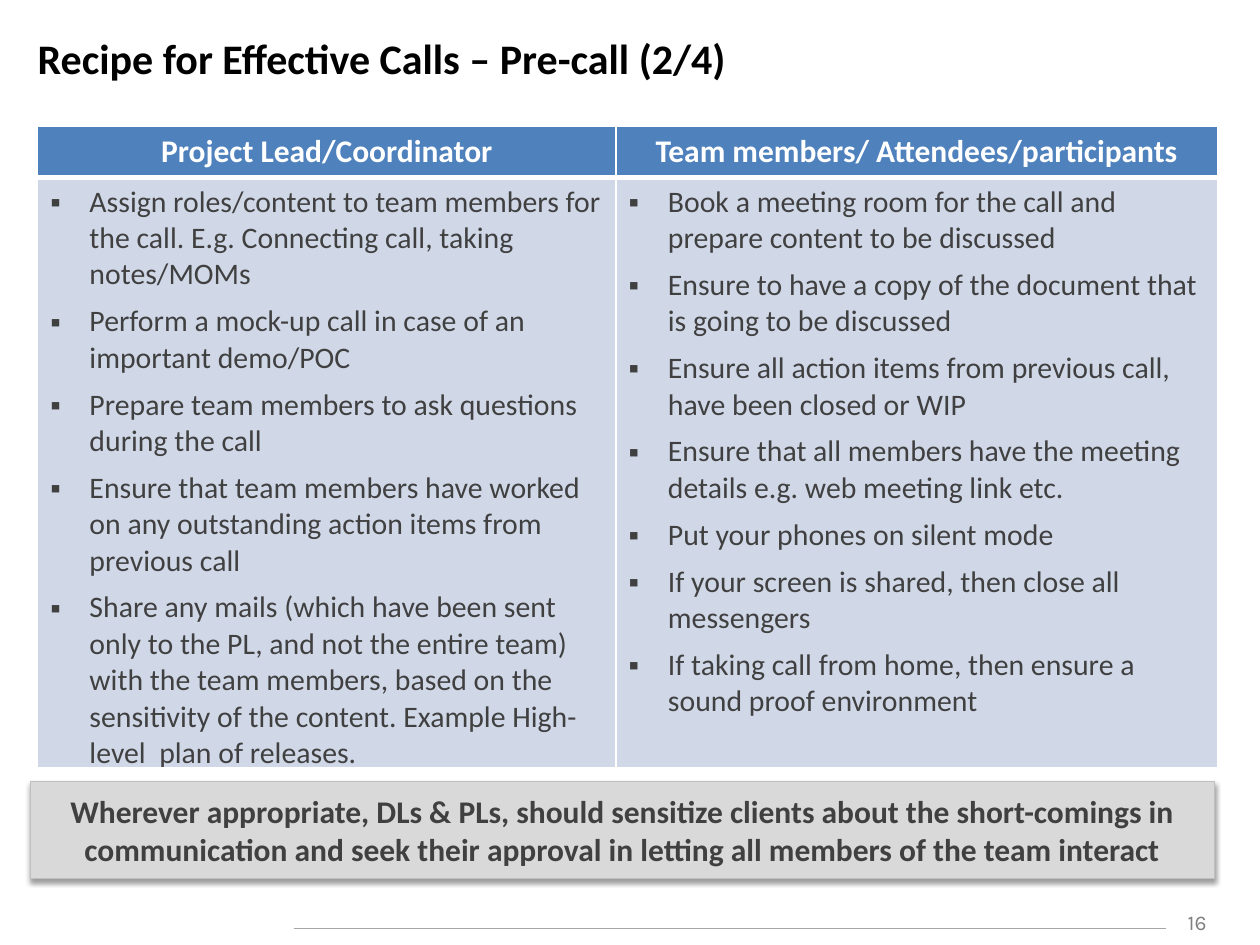
from lxml import etree
from pptx import Presentation
from pptx.dml.color import RGBColor
from pptx.enum.shapes import MSO_CONNECTOR as Connector, MSO_SHAPE as Shape
from pptx.enum.text import MSO_ANCHOR as Anchor, PP_ALIGN as Align
from pptx.oxml.ns import qn
from pptx.util import Cm, Pt

COLORS = {
    "title": "000000", "header": "4F81BD", "header_text": "FFFFFF",
    "body": "D0D8E8", "body_text": "404040", "border": "FFFFFF",
    "banner": "D9D9D9", "banner_edge": "BFBFBF", "shadow": "000000",
    "footer_line": "A6A6A6", "page_number": "808080",
}

TITLE = "Recipe for Effective Calls – Pre-call (2/4)"
DUTIES = {
    "Project Lead/Coordinator": [
        "Assign roles/content to team members for the call. "
        "E.g. Connecting call, taking notes/MOMs",
        "Perform a mock-up call in case of an important demo/POC",
        "Prepare team members to ask questions during the call",
        "Ensure that team members have worked on any outstanding action items "
        "from previous call",
        "Share any mails (which have been sent only to the PL, and not the entire team) "
        "with the team members, based on the sensitivity of the content. "
        "Example High-level  plan of releases.",
    ],
    "Team members/ Attendees/participants": [
        "Book a meeting room for the call and prepare content to be discussed",
        "Ensure to have a copy of the document that is going to be discussed",
        "Ensure all action items from previous call, have been closed or WIP",
        "Ensure that all members have the meeting details e.g. web meeting link etc.",
        "Put your phones on silent mode",
        "If your screen is shared, then close all messengers",
        "If taking call from home, then ensure a sound proof environment",
    ],
}
ADVICE = (
    "Wherever appropriate, DLs & PLs, should sensitize clients about the short-comings "
    "in communication and seek their approval in letting all members of the team interact"
)


def rgb(role):
    return RGBColor.from_string(COLORS[role])


def add_solid_fill(parent, role):
    solid = etree.SubElement(parent, qn("a:solidFill"))
    return etree.SubElement(solid, qn("a:srgbClr"), val=COLORS[role])


def write(paragraph, text, size, role, bold=False, font="Calibri", align=Align.LEFT):
    paragraph.alignment = align
    run = paragraph.add_run()
    run.text = text
    run.font.name = font
    run.font.size = Pt(size)
    run.font.bold = bold
    run.font.color.rgb = rgb(role)


def add_label(slide, box, text, *style, **options):
    frame = slide.shapes.add_textbox(*map(Cm, box)).text_frame
    frame.word_wrap = True
    frame.vertical_anchor = options.pop("anchor", Anchor.TOP)
    write(frame.paragraphs[0], text, *style, **options)


def add_footer_line(slide):
    y = Cm(18.72)
    rule = slide.shapes.add_connector(Connector.STRAIGHT, Cm(5.92), y, Cm(23.5), y)
    rule.line.color.rgb = rgb("footer_line")
    rule.line.width = Pt(0.75)
    etree.SubElement(rule._element.spPr, qn("a:effectLst"))


def set_bullet(paragraph):
    """Give the paragraph a small square with a hanging indent."""
    properties = paragraph._p.get_or_add_pPr()
    properties.set("marL", str(Cm(0.79)))
    properties.set("indent", str(-Cm(0.79)))
    paragraph.space_before = Pt(6)
    etree.SubElement(properties, qn("a:buFont"), typeface="Arial")
    etree.SubElement(properties, qn("a:buChar"), char="▪")


def style_cell(cell, role, bottom_width):
    """Draw the white cell borders, then the fill."""
    properties = cell._tc.get_or_add_tcPr()
    for side, width in (("L", 1), ("R", 1), ("T", 1), ("B", bottom_width)):
        border = etree.SubElement(properties, qn(f"a:ln{side}"), w=str(Pt(width)))
        add_solid_fill(border, "border")
    cell.fill.solid()
    cell.fill.fore_color.rgb = rgb(role)


def add_duties_table(slide):
    widths, heights = (11.66, 12.12), (1.04, 11.89)
    table = slide.shapes.add_table(
        2, 2, Cm(0.76), Cm(2.54), Cm(sum(widths)), Cm(sum(heights))).table
    for row, height in zip(table.rows, heights):
        row.height = Cm(height)
    for index, (heading, duties) in enumerate(DUTIES.items()):
        table.columns[index].width = Cm(widths[index])
        header, body = table.cell(0, index), table.cell(1, index)
        style_cell(header, "header", 3)
        style_cell(body, "body", 1)
        write(header.text_frame.paragraphs[0], heading, 18, "header_text",
              bold=True, align=Align.CENTER)
        for number, duty in enumerate(duties):
            frame = body.text_frame
            paragraph = frame.add_paragraph() if number else frame.paragraphs[0]
            set_bullet(paragraph)
            write(paragraph, duty, 17, "body_text")


def add_shadow(shape):
    shape.shadow.inherit = False
    effects = shape._element.spPr.find(qn("a:effectLst"))
    shadow = etree.SubElement(
        effects, qn("a:outerShdw"), blurRad=str(Pt(3.1)), dist=str(Pt(1.6)),
        dir="5400000", rotWithShape="0")
    color = etree.SubElement(shadow, qn("a:srgbClr"), val=COLORS["shadow"])
    etree.SubElement(color, qn("a:alpha"), val="38000")


def add_banner(slide):
    banner = slide.shapes.add_shape(
        Shape.RECTANGLE, Cm(0.61), Cm(15.75), Cm(23.88), Cm(1.96))
    banner.fill.solid()
    banner.fill.fore_color.rgb = rgb("banner")
    banner.line.color.rgb = rgb("banner_edge")
    banner.line.width = Pt(0.75)
    add_shadow(banner)
    frame = banner.text_frame
    frame.word_wrap = True
    frame.vertical_anchor = Anchor.MIDDLE
    write(frame.paragraphs[0], ADVICE, 18, "body_text", bold=True, align=Align.CENTER)


def main():
    deck = Presentation()
    deck.slide_width, deck.slide_height = Cm(25.4), Cm(19.05)
    slide = deck.slides.add_slide(deck.slide_layouts[6])
    add_label(slide, (23.5, 18.21, 1.27, 0.76), "16", 12, "page_number",
              font="Karla", align=Align.CENTER)
    add_footer_line(slide)
    add_duties_table(slide)
    add_label(slide, (0.51, 0.38, 24.51, 1.55), TITLE, 24, "title",
              bold=True, anchor=Anchor.MIDDLE)
    add_banner(slide)
    deck.save("out.pptx")


if __name__ == "__main__":
    main()
